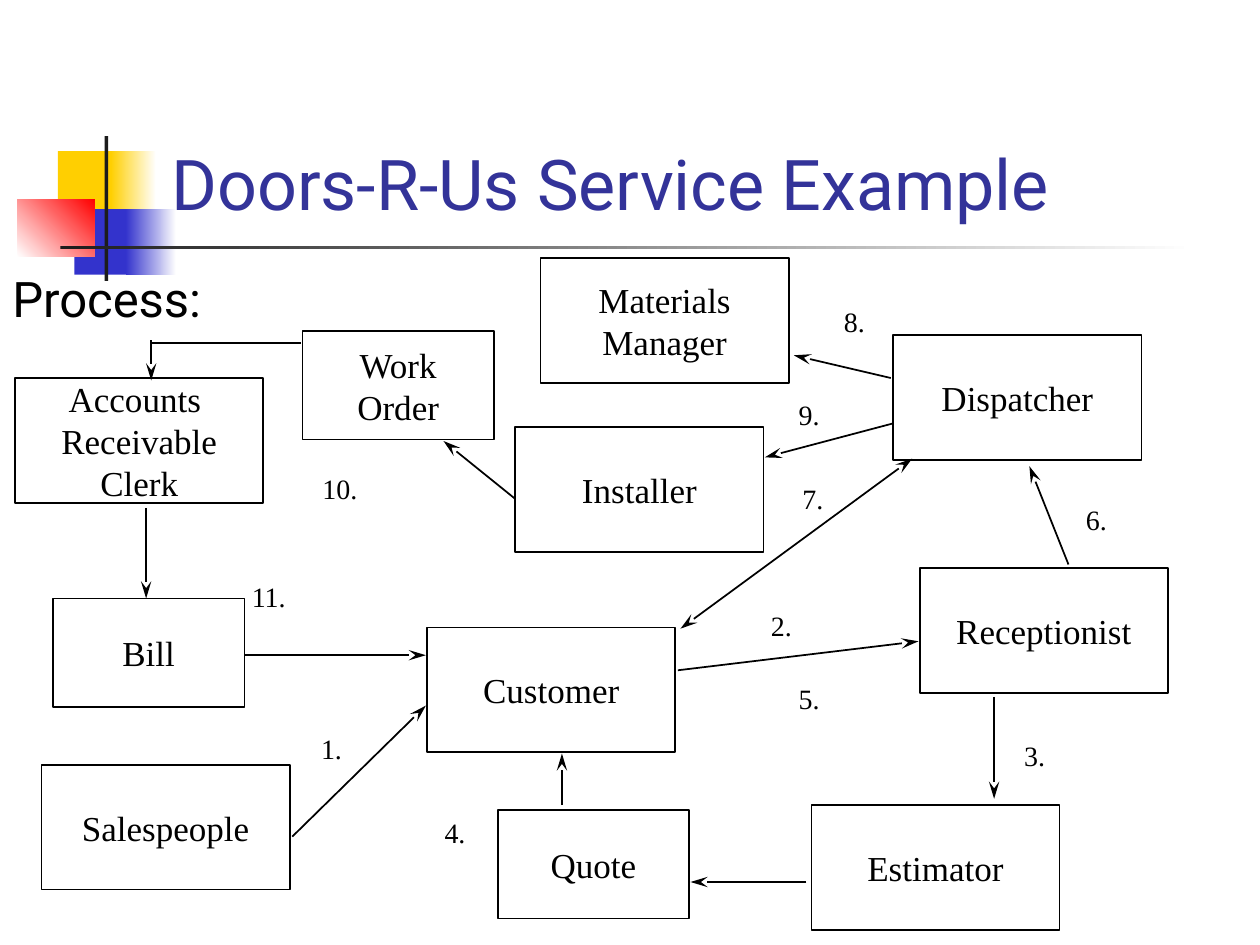
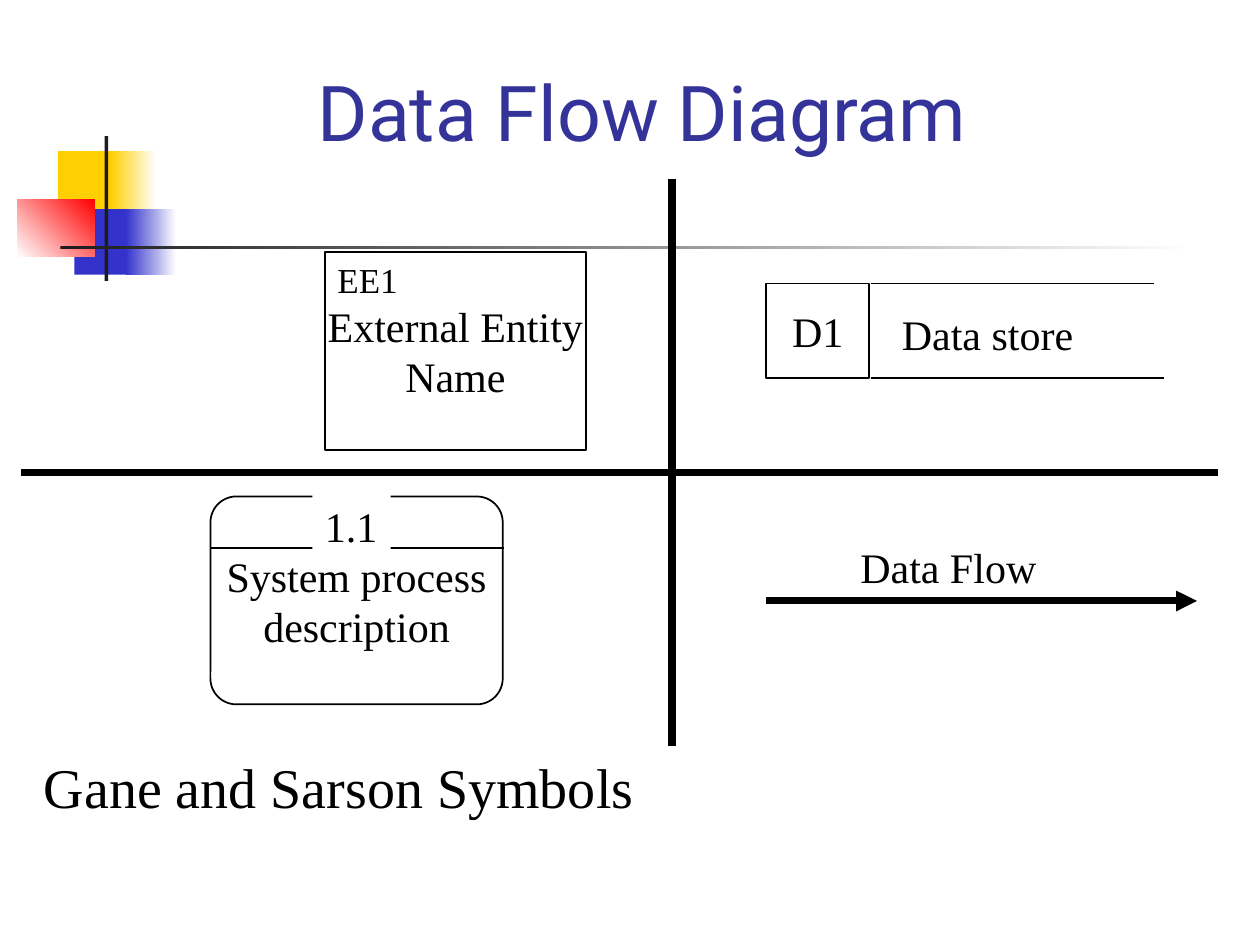
import lxml.etree
import pptx
import pptx.dml.color
import pptx.enum.shapes
import pptx.enum.text
import pptx.oxml.ns
import pptx.util

Inches = pptx.util.Inches
Pt = pptx.util.Pt
RGBColor = pptx.dml.color.RGBColor
MSO_SHAPE = pptx.enum.shapes.MSO_SHAPE
MSO_CONNECTOR = pptx.enum.shapes.MSO_CONNECTOR
MSO_ANCHOR = pptx.enum.text.MSO_ANCHOR
MSO_AUTO_SIZE = pptx.enum.text.MSO_AUTO_SIZE
PP_ALIGN = pptx.enum.text.PP_ALIGN
qn = pptx.oxml.ns.qn

BLACK = RGBColor(0x00, 0x00, 0x00)
WHITE = RGBColor(0xFF, 0xFF, 0xFF)
NAVY = RGBColor(0x33, 0x33, 0x99)
BLUE = RGBColor(0x33, 0x33, 0xCC)
YELLOW = RGBColor(0xFF, 0xCF, 0x01)
RED = RGBColor(0xFF, 0x00, 0x00)
CHARCOAL = RGBColor(0x1C, 0x1C, 0x1C)

HEADING_FONT = "Roboto"
DIAGRAM_FONT = "Times New Roman"
TITLE_ONLY = 5

ROLE_SIZE = (1.97, 0.99)
DOCUMENT_SIZE = (1.52, 0.86)

# Position, colours (two make a gradient), gradient angle
MASTER_BLOCKS = [
    ((0.46, 1.2, 0.48, 0.52), [YELLOW], 0),
    ((0.88, 1.2, 0.36, 0.52), [YELLOW, WHITE], 0),
    ((0.59, 1.66, 0.46, 0.52), [BLUE], 0),
    ((1, 1.66, 0.4, 0.52), [BLUE, WHITE], 0),
    ((0.14, 1.58, 0.61, 0.46), [WHITE, RED], 45),
    ((0.83, 1.08, 0.03, 1.15), [CHARCOAL], 0),
    ((0.48, 1.95, 9, 0.03), [CHARCOAL, WHITE], 0),
]

ROLES = [
    ("Salespeople", 0.33, 6.07),
    ("Customer", 3.39, 4.98),
    ("Receptionist", 7.3, 4.51),
    ("Estimator", 6.44, 6.39),
    ("Dispatcher", 7.09, 2.66),
    ("Installer", 4.09, 3.39),
    ("Accounts \nReceivable\nClerk", 0.12, 3),
    ("Materials\nManager", 4.29, 2.05),
]

DOCUMENTS = [
    ("Quote", 3.95, 6.43),
    ("Bill", 0.42, 4.75),
    ("Work\nOrder", 2.4, 2.63),
]

STEP_POSITIONS = [
    (2.45, 5.76), (6.02, 4.78), (8.03, 5.81), (3.43, 6.42),
    (6.24, 5.36), (8.52, 3.94), (6.27, 3.77), (6.6, 2.37),
    (6.24, 3.11), (2.46, 3.69), (1.9, 4.55),
]

FLOWS = [
    ((2.32, 6.64), (3.38, 5.6)),
    ((5.38, 5.32), (7.29, 5.09)),
    ((7.89, 5.53), (7.89, 6.34)),
    ((6.4, 7), (5.48, 7)),
    ((4.46, 6.39), (4.46, 5.98)),
    ((8.48, 4.48), (8.17, 3.7)),
    ((7.07, 3), (6.3, 2.82)),
    ((7.09, 3.36), (6.07, 3.63)),
    ((4.09, 3.96), (3.52, 3.5)),
    ((1.16, 4.03), (1.16, 4.75)),
    ((1.94, 5.2), (3.38, 5.2)),
    ((1.2, 2.7), (1.2, 3.02)),
]


def write_text(shape, text, size=20, font=DIAGRAM_FONT, color=BLACK,
               align=PP_ALIGN.LEFT, anchor=MSO_ANCHOR.TOP,
               wrap=False, grow=False):
    """Fill a shape with one paragraph for each line of text."""
    frame = shape.text_frame
    frame.text = text
    frame.word_wrap = wrap
    frame.vertical_anchor = anchor
    frame.auto_size = MSO_AUTO_SIZE.SHAPE_TO_FIT_TEXT if grow else MSO_AUTO_SIZE.NONE
    for paragraph in frame.paragraphs:
        paragraph.alignment = align
        paragraph.font.size = Pt(size)
        paragraph.font.name = font
        paragraph.font.color.rgb = color


def place(shape, position):
    shape.left, shape.top, shape.width, shape.height = map(Inches, position)


def add_box(slide, position, fill=None, outlined=True, kind=MSO_SHAPE.RECTANGLE):
    shape = slide.shapes.add_shape(kind, *map(Inches, position))
    shape.shadow.inherit = False
    if fill is None:
        shape.fill.background()
    else:
        shape.fill.solid()
        shape.fill.fore_color.rgb = fill
    if outlined:
        shape.line.color.rgb = BLACK
        shape.line.width = Pt(1)
    else:
        shape.line.fill.background()
    return shape


def add_labelled_box(slide, text, position, size=20, **box_format):
    shape = add_box(slide, position, **box_format)
    write_text(shape, text, size=size, align=PP_ALIGN.CENTER, anchor=MSO_ANCHOR.MIDDLE)
    return shape


def add_label(slide, text, position, **text_format):
    label = slide.shapes.add_textbox(*map(Inches, position))
    write_text(label, text, grow=True, **text_format)
    return label


def add_line(slide, start, end, width=1, head=None, tail=None):
    """Draw a line; head and tail name the arrowheads at start and end."""
    connector = slide.shapes.add_connector(
        MSO_CONNECTOR.STRAIGHT, *map(Inches, start + end))
    connector.line.color.rgb = BLACK
    connector.line.width = Pt(width)
    properties = connector.element.spPr
    outline = properties.find(qn("a:ln"))
    for tag, arrow in (("a:headEnd", head), ("a:tailEnd", tail)):
        if arrow:
            length = "lg" if arrow == "stealth" else "med"
            lxml.etree.SubElement(outline, qn(tag), type=arrow, w="med", len=length)
    lxml.etree.SubElement(properties, qn("a:effectLst"))


def add_bullet(paragraph, symbol, color, percent, indent):
    properties = paragraph._p.get_or_add_pPr()
    properties.set("marL", str(Inches(indent)))
    properties.set("indent", str(-Inches(indent)))
    bullet_color = lxml.etree.SubElement(properties, qn("a:buClr"))
    lxml.etree.SubElement(bullet_color, qn("a:srgbClr"), val=str(color))
    lxml.etree.SubElement(properties, qn("a:buSzPct"), val=str(percent * 1000))
    lxml.etree.SubElement(properties, qn("a:buChar"), char=symbol)


def decorate_master(presentation, slide):
    """Draw the shared blocks and rules, then move them to the slide master."""
    master_tree = presentation.slide_master.shapes.element
    for number, (position, colors, angle) in enumerate(MASTER_BLOCKS):
        block = add_box(slide, position, fill=colors[0], outlined=False)
        if len(colors) > 1:
            block.fill.gradient()
            block.fill.gradient_angle = angle
            for stop, color, offset in zip(block.fill.gradient_stops, colors, (0, 1)):
                stop.color.rgb = color
                stop.position = offset
        block.element.nvSpPr.cNvPr.set("id", str(100 + number))
        master_tree.append(block.element)


def add_titled_slide(presentation, title, position, size, anchor):
    slide = presentation.slides.add_slide(presentation.slide_layouts[TITLE_ONLY])
    place(slide.shapes.title, position)
    write_text(slide.shapes.title, title, size=size, font=HEADING_FONT,
               color=NAVY, anchor=anchor, wrap=True)
    return slide


def add_process_heading(slide):
    heading = slide.shapes.add_textbox(*map(Inches, (0, 2.08, 3.6, 0.66)))
    paragraph = heading.text_frame.paragraphs[0]
    add_bullet(paragraph, "■", BLUE, percent=60, indent=0.38)
    write_text(heading, "Process:", size=28, font=HEADING_FONT, wrap=True)


def build_service_example(slide):
    add_process_heading(slide)
    for boxes, size in ((ROLES, ROLE_SIZE), (DOCUMENTS, DOCUMENT_SIZE)):
        for text, left, top in boxes:
            add_labelled_box(slide, text, (left, top) + size)
    for start, end in FLOWS:
        add_line(slide, start, end, tail="stealth")
    add_line(slide, (7.24, 3.64), (5.4, 4.99), head="stealth", tail="stealth")
    add_line(slide, (2.39, 2.72), (1.2, 2.72))
    for number, (left, top) in enumerate(STEP_POSITIONS, start=1):
        width = 0.37 if number < 10 else 0.48
        add_label(slide, f"{number}.", (left, top, width, 0.37), size=16)


def add_entity_symbol(slide):
    add_labelled_box(slide, "External Entity\nName", (2.58, 2, 2.07, 1.57),
                     size=24, fill=WHITE)
    add_label(slide, "EE1", (2.58, 2, 0.68, 0.43))


def add_process_symbol(slide):
    process = add_labelled_box(slide, "System process\ndescription",
                               (1.67, 3.94, 2.32, 1.65), size=24, fill=WHITE,
                               kind=MSO_SHAPE.ROUNDED_RECTANGLE)
    process.adjustments[0] = 0.125
    add_line(slide, (1.67, 4.35), (4, 4.35))
    number = add_box(slide, (2.48, 3.92, 0.62, 0.5), fill=WHITE, outlined=False)
    write_text(number, "1.1", size=24, grow=True)


def add_store_symbol(slide):
    add_labelled_box(slide, "D1", (6.08, 2.25, 0.82, 0.75), size=24)
    add_line(slide, (6.91, 2.25), (9.16, 2.25))
    add_line(slide, (6.91, 3), (9.24, 3))
    add_label(slide, "Data store", (7.06, 2.4, 1.56, 0.5), size=24)


def add_flow_symbol(slide):
    add_line(slide, (6.08, 4.77), (9.5, 4.77), width=4, tail="triangle")
    add_label(slide, "Data Flow", (6.73, 4.25, 1.6, 0.5), size=24)


def build_symbol_chart(slide):
    add_entity_symbol(slide)
    add_process_symbol(slide)
    add_store_symbol(slide)
    add_flow_symbol(slide)
    add_label(slide, "Gane and Sarson Symbols", (0.25, 5.92, 7.78, 0.63),
              size=32, wrap=True)
    add_line(slide, (0.17, 3.75), (9.67, 3.75), width=4.5)
    add_line(slide, (5.33, 1.42), (5.33, 5.92), width=4.5)


def main():
    presentation = pptx.Presentation()
    presentation.slide_width = Inches(10)
    presentation.slide_height = Inches(7.5)

    service = add_titled_slide(presentation, "Doors-R-Us Service Example",
                               (1.26, 0.23, 8.52, 1.6), 40, MSO_ANCHOR.BOTTOM)
    decorate_master(presentation, service)
    build_service_example(service)

    symbols = add_titled_slide(presentation, "Data Flow Diagram",
                               (2.42, 0.25, 6.67, 1.25), 44, MSO_ANCHOR.MIDDLE)
    build_symbol_chart(symbols)
    presentation.save("out.pptx")


if __name__ == "__main__":
    main()
